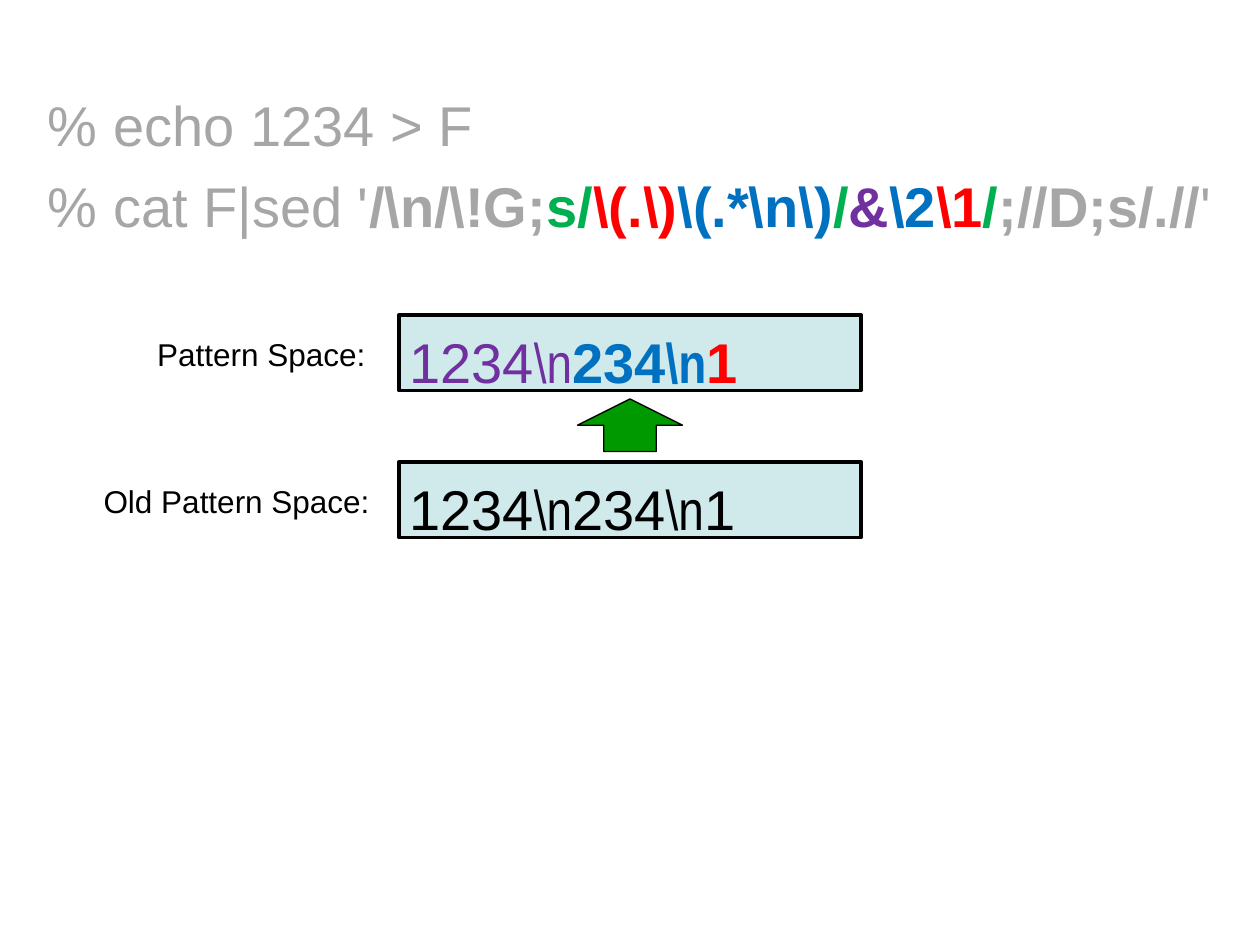
from pptx import Presentation
from pptx.dml.color import RGBColor
from pptx.enum.shapes import MSO_SHAPE
from pptx.enum.text import MSO_ANCHOR
from pptx.util import Inches, Pt

RECTANGLE = MSO_SHAPE.RECTANGLE
UP_ARROW = MSO_SHAPE.UP_ARROW
TOP = MSO_ANCHOR.TOP

# The slide is a grid of 120 columns by 90 rows with square cells
COLUMNS, ROWS = 120, 90
CELL = Inches(10) // COLUMNS

COLORS = {
    "black": "000000",
    "grey": "A6A6A6",
    "red": "FF0000",
    "blue": "0070C0",
    "green": "00B050",
    "purple": "7030A0",
    "buffer": "D0EAEC",
    "arrow": "009900",
}

# Runs: text, colour, bold, font
COMMANDS = [
    [("% echo 1234 > F", "grey", False, "Arial")],
    [
        ("% cat F|sed '", "grey", False, "Arial"),
        ("/\\n/\\!G;", "grey", True, "Arial"),
        ("s/", "green", True, "Arial"),
        ("\\(.\\)", "red", True, "Arial"),
        ("\\(.*\\n\\)", "blue", True, "Arial"),
        ("/", "green", True, "Arial"),
        ("&", "purple", True, "Arial"),
        ("\\2", "blue", True, "Arial"),
        ("\\1", "red", True, "Arial"),
        ("/", "green", True, "Arial"),
        (";//D;s/.//", "grey", True, "Arial"),
        ("'", "grey", False, "Arial"),
    ],
]


def buffer_runs(first, second, third, bold):
    """Runs of a buffer: three pieces, each with its colour, joined by newlines."""
    return [
        ("1234", first, False, "Arial"),
        ("\\n", first, False, "Arial Narrow"),
        ("234", second, bold, "Arial"),
        ("\\n", second, bold, "Arial Narrow"),
        ("1", third, bold, "Arial"),
    ]


def color(name):
    return RGBColor.from_string(COLORS[name])


def grid(*cells):
    return [round(cell * CELL) for cell in cells]


def write(shape, lines, size, top_margin, gap=0):
    frame = shape.text_frame
    frame.word_wrap = True
    frame.vertical_anchor = TOP
    frame.margin_left = frame.margin_right = Inches(0.08)
    frame.margin_top, frame.margin_bottom = Inches(top_margin), 0
    for index, runs in enumerate(lines):
        paragraph = frame.paragraphs[0] if index == 0 else frame.add_paragraph()
        paragraph.alignment = 1  # left
        if index:
            paragraph.space_before = Pt(gap)
        for text, color_name, bold, font_name in runs:
            run = paragraph.add_run()
            run.text = text
            run.font.name = font_name
            run.font.size = Pt(size)
            run.font.bold = bold
            run.font.color.rgb = color(color_name)


def add_outlined(slide, kind, box, fill, line_width):
    shape = slide.shapes.add_shape(kind, *grid(*box))
    shape.shadow.inherit = False
    shape.fill.solid()
    shape.fill.fore_color.rgb = color(fill)
    shape.line.color.rgb = color("black")
    shape.line.width = Pt(line_width)
    return shape


def add_commands(slide, box):
    write(slide.shapes.add_textbox(*grid(*box)), COMMANDS, 32, 0.05, gap=8)


def add_buffer_row(slide, box, label, label_left, runs):
    left, top, width, height = box
    # Label, ending at the padding of the buffer
    label_box = (label_left, top + 1.1, left + 2 - label_left, 5)
    label_shape = slide.shapes.add_textbox(*grid(*label_box))
    write(label_shape, [[(label, "black", False, "Arial")]], 18, 0.07)
    # Buffer
    buffer = add_outlined(slide, RECTANGLE, box, "buffer", 2.25)
    write(buffer, [runs], 32, 0.1)


def add_pattern_spaces(slide, box):
    left, top, width, height = box
    row_height, arrow_width, arrow_height = 7.2, 10, 5
    old_top = top + height - row_height
    add_buffer_row(slide, (left, top, width, row_height), "Pattern Space:", 14,
                   buffer_runs("purple", "blue", "red", True))
    add_buffer_row(slide, (left, old_top, width, row_height), "Old Pattern Space:", 8.9,
                   buffer_runs("black", "black", "black", False))
    # Arrow from the old buffer up to the new one
    arrow_box = (left + (width - arrow_width) / 2, old_top - arrow_height - 1,
                 arrow_width, arrow_height)
    add_outlined(slide, UP_ARROW, arrow_box, "arrow", 0.75)


def main():
    presentation = Presentation()
    presentation.slide_width = COLUMNS * CELL
    presentation.slide_height = ROWS * CELL
    slide = presentation.slides.add_slide(presentation.slide_layouts[6])
    add_commands(slide, (3.6, 8, 115, 15))
    add_pattern_spaces(slide, (38, 30, 44, 21.2))
    presentation.save("out.pptx")


if __name__ == "__main__":
    main()
